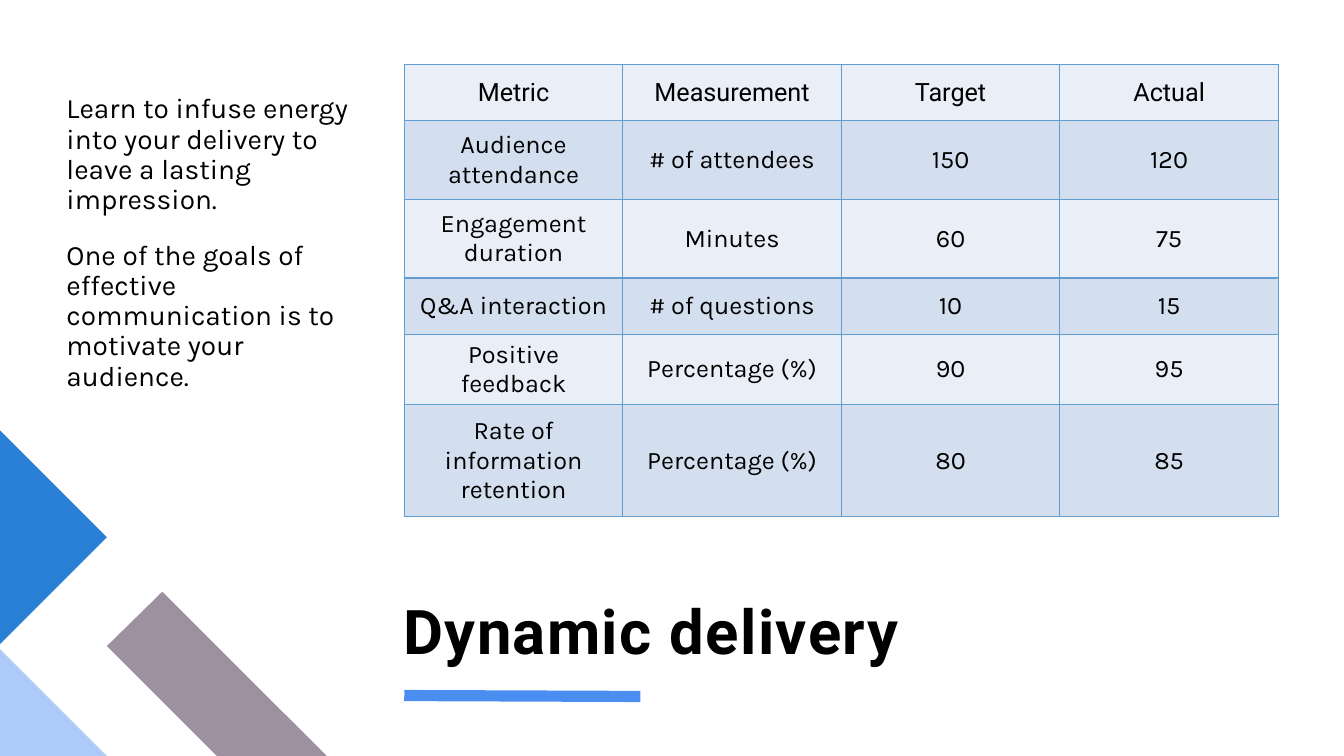
from dataclasses import dataclass

from lxml import etree
from pptx import Presentation
from pptx.dml.color import RGBColor
from pptx.enum.shapes import MSO_CONNECTOR
from pptx.enum.text import MSO_ANCHOR, PP_ALIGN
from pptx.oxml.ns import qn
from pptx.util import Inches, Length, Pt

STRAIGHT = MSO_CONNECTOR.STRAIGHT
TOP, MIDDLE, BOTTOM = MSO_ANCHOR.TOP, MSO_ANCHOR.MIDDLE, MSO_ANCHOR.BOTTOM
LEFT, CENTER = PP_ALIGN.LEFT, PP_ALIGN.CENTER

SLIDE_WIDTH, SLIDE_HEIGHT = Inches(13.33), Inches(7.5)
HEADING_FONT, BODY_FONT = "Roboto", "Karla"
COLORS = {
    "text": "000000",
    "mauve": "9D90A0",
    "pale_blue": "ACCBF9",
    "blue": "297FD5",
    "underline": "4A8EF2",
    "border": "629DD1",
    "light_row": "EAEFF7",
    "dark_row": "D3DFEE",
}
TABLE_LEFT, TABLE_TOP, COLUMN_WIDTH = 30.08, 8.53, 16.26


@dataclass(frozen=True)
class Polygon:
    color: str
    points: tuple[tuple[float, float], ...]


@dataclass(frozen=True)
class TextBlock:
    left: float
    top: float
    width: float
    height: float
    paragraphs: tuple[str, ...]
    font: str
    size: int
    line_spacing: float
    anchor: MSO_ANCHOR = TOP
    margins: tuple[float, float, float, float] = (0, 0, 0, 0)
    space_before: int = 0
    bold: bool = False
    tracking: int = 0


@dataclass(frozen=True)
class MetricRow:
    height: float
    cells: tuple[str, str, str, str]


POLYGONS = (
    Polygon("mauve", ((24.31, 100), (16.13, 100), (7.95, 85.47), (12.08, 78.27))),
    Polygon("pale_blue", ((7.95, 100), (0, 100), (0, 85.87))),
    Polygon("blue", ((0, 56.93), (7.95, 71.07), (0, 85.2))),
)
TEXT_BLOCKS = (
    TextBlock(30.01, 68, 65.12, 20.13, ("Dynamic delivery",), HEADING_FONT, 44, 0.8,
              anchor=BOTTOM, bold=True, tracking=100),
    TextBlock(4.95, 8.53, 23.18, 58.27, (
        "Learn to infuse energy into your delivery to leave a lasting impression.",
        "One of the goals of effective communication is to motivate your audience.",
    ), BODY_FONT, 20, 0.9, margins=(0, 0.3, 0.1, 0.05), space_before=18),
)
METRIC_ROWS = (
    MetricRow(7.44, ("Metric", "Measurement", "Target", "Actual")),
    MetricRow(10.4, ("Audience attendance", "# of attendees", "150", "120")),
    MetricRow(10.4, ("Engagement duration", "Minutes", "60", "75")),
    MetricRow(7.44, ("Q&A interaction", "# of questions", "10", "15")),
    MetricRow(7.44, ("Positive feedback", "Percentage (%)", "90", "95")),
    MetricRow(14.8, ("Rate of information retention", "Percentage (%)", "80", "85")),
)


def across(percent: float) -> Length:
    """Turn a share of the slide width into a length."""
    return Length(round(SLIDE_WIDTH * percent / 100))


def down(percent: float) -> Length:
    """Turn a share of the slide height into a length."""
    return Length(round(SLIDE_HEIGHT * percent / 100))


def color(name: str) -> RGBColor:
    """Look up a named colour."""
    return RGBColor.from_string(COLORS[name])


def add_span(para, text: str, font: str, size: int, bold: bool = False):
    """Add one formatted run to a paragraph."""
    span = para.add_run()
    span.text = text
    span.font.name, span.font.size, span.font.bold = font, Pt(size), bold
    span.font.color.rgb = color("text")
    return span


def draw_polygon(page, polygon: Polygon) -> None:
    """Draw a filled outline without a border."""
    corners = [(across(x), down(y)) for x, y in polygon.points]
    builder = page.shapes.build_freeform(*corners[0])
    builder.add_line_segments(corners[1:], close=True)
    shape = builder.convert_to_shape()
    shape.shadow.inherit = False
    shape.fill.solid()
    shape.fill.fore_color.rgb = color(polygon.color)
    shape.line.fill.background()


def draw_underline(page) -> None:
    """Draw the thick line below the title."""
    line = page.shapes.add_connector(
        STRAIGHT, across(TABLE_LEFT), down(92), across(47.64), down(92.13))
    line.line.color.rgb = color("underline")
    line.line.width = Pt(8)
    etree.SubElement(line.element.spPr, qn("a:effectLst"))


def draw_text(page, block: TextBlock) -> None:
    """Draw a wrapping text box."""
    box = page.shapes.add_textbox(
        across(block.left), down(block.top), across(block.width), down(block.height))
    frame = box.text_frame
    frame.word_wrap = True
    frame.vertical_anchor = block.anchor
    (frame.margin_left, frame.margin_top,
     frame.margin_right, frame.margin_bottom) = map(Inches, block.margins)
    for index, text in enumerate(block.paragraphs):
        para = frame.add_paragraph() if index else frame.paragraphs[0]
        para.alignment = LEFT
        para.line_spacing = block.line_spacing
        para.space_before = Pt(block.space_before)
        span = add_span(para, text, block.font, block.size, block.bold)
        if block.tracking:
            span.font.element.set("spc", str(block.tracking)) if hasattr(
                span.font, "element") else span._r.get_or_add_rPr().set(
                "spc", str(block.tracking))


def add_borders(cell) -> None:
    """Give a cell a thin line on all four sides."""
    properties = cell._tc.get_or_add_tcPr()
    for side in ("a:lnL", "a:lnR", "a:lnT", "a:lnB"):
        edge = etree.SubElement(properties, qn(side), w=str(Pt(1)))
        fill = etree.SubElement(edge, qn("a:solidFill"))
        etree.SubElement(fill, qn("a:srgbClr"), val=COLORS["border"])


def draw_table(page, rows: tuple[MetricRow, ...]) -> None:
    """Draw the metrics table with alternating row fills."""
    count = len(rows[0].cells)
    table = page.shapes.add_table(
        len(rows), count, across(TABLE_LEFT), down(TABLE_TOP),
        across(COLUMN_WIDTH * count), down(sum(row.height for row in rows))).table
    table.first_row = table.horz_banding = False
    for column in table.columns:
        column.width = across(COLUMN_WIDTH)
    for row_index, row in enumerate(rows):
        table.rows[row_index].height = down(row.height)
        for column_index, text in enumerate(row.cells):
            cell = table.cell(row_index, column_index)
            add_borders(cell)
            cell.fill.solid()
            cell.fill.fore_color.rgb = color("dark_row" if row_index % 2 else "light_row")
            cell.vertical_anchor = MIDDLE
            para = cell.text_frame.paragraphs[0]
            para.alignment = CENTER
            add_span(para, text, BODY_FONT if row_index else HEADING_FONT, 18)


def main() -> None:
    """Build the slide and save the deck."""
    deck = Presentation()
    deck.slide_width, deck.slide_height = SLIDE_WIDTH, SLIDE_HEIGHT
    page = deck.slides.add_slide(deck.slide_layouts[6])
    for polygon in POLYGONS:
        draw_polygon(page, polygon)
    draw_underline(page)
    for block in TEXT_BLOCKS:
        draw_text(page, block)
    draw_table(page, METRIC_ROWS)
    deck.save("out.pptx")


if __name__ == "__main__":
    main()
